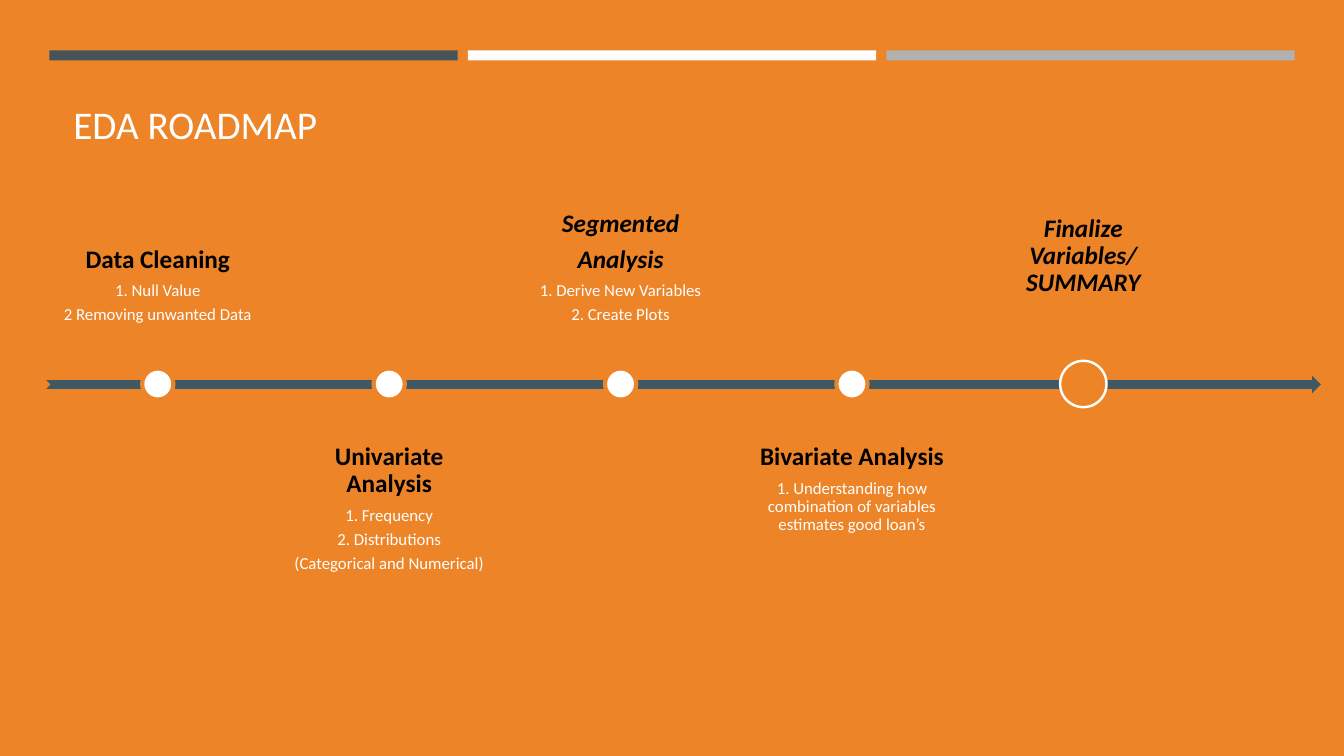
from pptx import Presentation
from pptx.dml.color import RGBColor
from pptx.enum.shapes import MSO_SHAPE
from pptx.enum.text import MSO_ANCHOR, PP_ALIGN
from pptx.util import Inches, Pt

COLORS = {
    "orange": "ED8428",
    "slate": "465359",
    "gray": "B1B1B1",
    "white": "FFFFFF",
    "black": "000000",
    "arrow": "3E5964",
}
FONT = "Calibri"
FIRST_CENTER, STEP = 1.565, 2.295
AXIS_Y = 3.81
LABEL_WIDTH, LABEL_HEIGHT = 2.19, 1.83
ABOVE_TOP, BELOW_TOP = 1.53, 4.26
INSET = 0.14

# Heading lines, detail lines, italic heading
STAGES = [
    (["Data Cleaning"], ["1. Null Value", "2 Removing unwanted Data"], False),
    (["Univariate Analysis"],
     ["1. Frequency", "2. Distributions", "(Categorical and Numerical)"], False),
    (["Segmented", "Analysis"],
     ["1. Derive New Variables", "2. Create Plots"], True),
    (["Bivariate Analysis"],
     ["1. Understanding how combination of variables estimates good loan’s"], False),
    (["Finalize Variables/ SUMMARY"], [], True),
]


def color(name):
    return RGBColor.from_string(COLORS[name])


def add_filled_shape(slide, kind, left, top, width, height, fill,
                     line=None, line_width=1):
    shape = slide.shapes.add_shape(
        kind, Inches(left), Inches(top), Inches(width), Inches(height))
    shape.shadow.inherit = False
    shape.fill.solid()
    shape.fill.fore_color.rgb = color(fill)
    if line:
        shape.line.color.rgb = color(line)
        shape.line.width = Pt(line_width)
    else:
        shape.line.fill.background()
    return shape


def add_text_box(slide, left, top, width, height, anchor, side=0.1, upper=0.05, lower=0.05):
    box = slide.shapes.add_textbox(
        Inches(left), Inches(top), Inches(width), Inches(height))
    frame = box.text_frame
    frame.word_wrap = True
    frame.vertical_anchor = anchor
    frame.margin_left = frame.margin_right = Inches(side)
    frame.margin_top, frame.margin_bottom = Inches(upper), Inches(lower)
    return frame


def write(paragraph, text, size, fill="white", bold=False, italic=False,
          align=PP_ALIGN.LEFT, line_spacing=1.0, space_after=0):
    paragraph.alignment = align
    paragraph.line_spacing = line_spacing
    paragraph.space_after = Pt(space_after)
    run = paragraph.add_run()
    run.text = text
    run.font.name = FONT
    run.font.size = Pt(size)
    run.font.bold = bold
    run.font.italic = italic
    run.font.color.rgb = color(fill)


def add_label(slide, center, above, headings, details, italic):
    """Place a stage's text above or below the timeline."""
    lower = INSET if details else 0.41
    frame = add_text_box(
        slide, center - LABEL_WIDTH / 2, ABOVE_TOP if above else BELOW_TOP,
        LABEL_WIDTH, LABEL_HEIGHT,
        MSO_ANCHOR.BOTTOM if above else MSO_ANCHOR.TOP, INSET, INSET, lower)
    heading_format = dict(size=18, fill="black", bold=True, italic=italic, space_after=6.3)
    detail_format = dict(size=12, space_after=4.2)
    lines = [(text, heading_format) for text in headings]
    lines += [(text, detail_format) for text in details]
    for index, (text, text_format) in enumerate(lines):
        paragraph = frame.add_paragraph() if index else frame.paragraphs[0]
        write(paragraph, text, align=PP_ALIGN.CENTER, line_spacing=0.9, **text_format)


def add_marker(slide, center, diameter, fill, line, line_width):
    add_filled_shape(slide, MSO_SHAPE.OVAL, center - diameter / 2,
                     AXIS_Y - diameter / 2, diameter, diameter,
                     fill, line, line_width)


def add_timeline(slide):
    add_filled_shape(slide, MSO_SHAPE.NOTCHED_RIGHT_ARROW,
                     0.46, 3.73, 12.64, 0.17, "arrow")
    for index, (headings, details, italic) in enumerate(STAGES):
        center = FIRST_CENTER + index * STEP
        add_label(slide, center, index % 2 == 0, headings, details, italic)
        if index < len(STAGES) - 1:
            add_marker(slide, center, 0.31, "white", "orange", 3)
        else:
            add_marker(slide, center, 0.46, "orange", "white", 1.75)


def main():
    presentation = Presentation()
    presentation.slide_width = Inches(13.33)
    presentation.slide_height = Inches(7.5)
    slide = presentation.slides.add_slide(presentation.slide_layouts[6])
    slide.background.fill.solid()
    slide.background.fill.fore_color.rgb = color("orange")
    for index, fill in enumerate(["slate", "white", "gray"]):
        add_filled_shape(slide, MSO_SHAPE.RECTANGLE,
                         0.49 + index * 4.15, 0.5, 4.05, 0.1, fill)
    title = add_text_box(slide, 0.63, 0.43, 12.06, 1.08, MSO_ANCHOR.BOTTOM)
    write(title.paragraphs[0], "EDA ROADMAP", size=28)
    add_timeline(slide)
    presentation.save("out.pptx")


if __name__ == "__main__":
    main()
